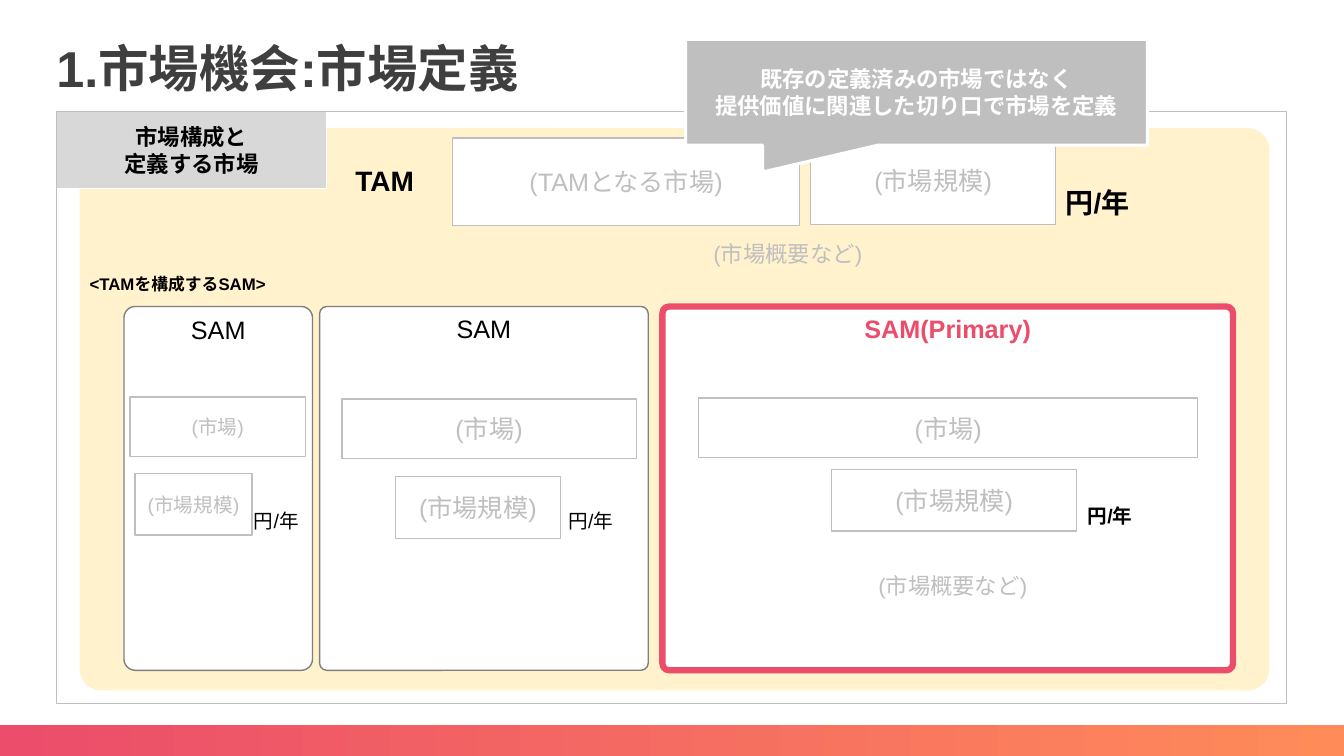
from dataclasses import dataclass

from pptx import Presentation
from pptx.dml.color import RGBColor
from pptx.enum.shapes import MSO_SHAPE
from pptx.enum.text import MSO_ANCHOR, PP_ALIGN
from pptx.util import Inches, Pt

BLACK, WHITE = "000000", "FFFFFF"
GRAY, PINK = "BFBFBF", "EC4D6A"
RECT, ROUND = MSO_SHAPE.RECTANGLE, MSO_SHAPE.ROUNDED_RECTANGLE
CALL = MSO_SHAPE.RECTANGULAR_CALLOUT
TOP, MID, LOW = MSO_ANCHOR.TOP, MSO_ANCHOR.MIDDLE, MSO_ANCHOR.BOTTOM
LEFT, MIDST = PP_ALIGN.LEFT, PP_ALIGN.CENTER


@dataclass(frozen=True)
class Words:
    lines: tuple[str, ...]
    size: float = 18
    color: str = GRAY
    bold: bool = False
    align: PP_ALIGN = MIDST
    anchor: MSO_ANCHOR = MID


@dataclass(frozen=True)
class Box:
    place: tuple[float, float, float, float]
    words: Words | None = None
    fill: str | None = WHITE
    line: str | None = GRAY
    width: float = 1
    form: MSO_SHAPE = RECT
    adjust: tuple[float, ...] = ()


@dataclass(frozen=True)
class Label:
    place: tuple[float, float, float, float]
    words: Words


def paint(code: str) -> RGBColor:
    return RGBColor.from_string(code)


def write(frame, words: Words) -> None:
    frame.word_wrap = True
    frame.vertical_anchor = words.anchor
    for i, line in enumerate(words.lines):
        para = frame.paragraphs[0] if i == 0 else frame.add_paragraph()
        para.alignment = words.align
        run = para.add_run()
        run.text = line
        run.font.name = "Arial"
        run.font.size = Pt(words.size)
        run.font.bold = words.bold
        run.font.color.rgb = paint(words.color)


def draw_box(slide, box: Box):
    shape = slide.shapes.add_shape(box.form, *map(Inches, box.place))
    shape.shadow.inherit = False
    for i, value in enumerate(box.adjust):
        shape.adjustments[i] = value
    if box.fill:
        shape.fill.solid()
        shape.fill.fore_color.rgb = paint(box.fill)
    else:
        shape.fill.background()
    if box.line:
        shape.line.color.rgb = paint(box.line)
        shape.line.width = Pt(box.width)
    else:
        shape.line.fill.background()
    if box.words:
        write(shape.text_frame, box.words)
    return shape


def draw_label(slide, label: Label):
    text = slide.shapes.add_textbox(*map(Inches, label.place))
    write(text.text_frame, label.words)
    return text.text_frame


def draw_title(slide) -> None:
    words = Words(("1.市場機会:市場定義",), 36, "3F3F3F", True, LEFT, LOW)
    frame = draw_label(slide, Label((0.56, 0.29, 12.2, 0.69), words))
    frame.margin_left = frame.margin_right = 0
    frame.margin_top = frame.margin_bottom = 0
    frame.paragraphs[0].line_spacing = 0.9


def draw_band(slide) -> None:
    band = draw_box(slide, Box((0, 7.19, 13.33, 0.31), line=None))
    band.fill.gradient()
    band.fill.gradient_angle = 0
    for stop, place, code in zip(band.fill.gradient_stops, (0, 1), ("EB4D6A", "FF8B59")):
        stop.position = place
        stop.color.rgb = paint(code)


def panel(left: float, width: float, adjust: float, words: Words,
          line: str = "7F7F7F", weight: float = 1) -> Box:
    return Box((left, 3.04, width, 3.61), words, WHITE, line, weight, ROUND, (adjust,))


def market(size: float = 18) -> Words:
    return Words(("(市場)",), size)


def scale(size: float = 18) -> Words:
    return Words(("(市場規模)",), size)


def yen(left: float, top: float, size: float = 14, bold: bool = False) -> Label:
    words = Words(("円/年",), size, BLACK, bold, LEFT, LOW)
    return Label((left, top, 1.16, 0.61), words)


SAM = Words(("SAM",), color=BLACK, anchor=TOP)
PRIME = Words(("SAM(Primary)",), color=PINK, bold=True, anchor=TOP)
NOTE = Words(("(市場概要など)",), 16, anchor=TOP)
TAG = Words(("市場構成と", "定義する市場"), 16, BLACK, True)
HINT = Words(("既存の定義済みの市場ではなく", "提供価値に関連した切り口で市場を定義"), 16, WHITE, True)

ITEMS: list[Box | Label] = [
    Box((0.79, 1.27, 11.8, 5.58), fill="FFF2CC", line=None, form=ROUND, adjust=(0.039,)),
    Box((4.49, 1.37, 3.44, 0.87), Words(("(TAMとなる市場)",))),
    yen(10.47, 1.61, 20, True),
    Box((8.04, 1.34, 2.43, 0.89), scale()),
    Label((3.39, 1.57, 0.85, 0.44), Words(("TAM",), 20, BLACK, True, anchor=TOP)),
    panel(1.23, 1.87, 0.06, SAM),
    panel(3.17, 3.26, 0.022, SAM),
    panel(6.57, 5.66, 0.019, PRIME, PINK, 4.5),
    Box((6.93, 3.95, 4.95, 0.59), market(), None),
    yen(10.69, 4.67, bold=True),
    Box((8.25, 4.66, 2.43, 0.61), scale(), None),
    Box((0.56, 1.1, 2.68, 0.77), TAG, "D8D8D8", WHITE, 0.75),
    Box((0.56, 1.11, 12.2, 5.87), fill=None, width=0.75),
    Label((3.25, 2.33, 9.13, 0.37), NOTE),
    Label((6.8, 5.63, 5.3, 0.37), NOTE),
    Box((3.39, 3.96, 2.92, 0.59), market()),
    yen(5.54, 4.72),
    Box((3.92, 4.73, 1.64, 0.61), scale()),
    Box((1.29, 3.94, 1.74, 0.59), market(14)),
    Box((1.34, 4.7, 1.16, 0.61), scale(14)),
    yen(2.42, 4.72),
    Label((0.79, 2.67, 3.1, 0.3),
          Words(("<TAMを構成するSAM>",), 12, BLACK, True, LEFT, TOP)),
    Box((6.8, 0.39, 4.58, 1.05), HINT, GRAY, WHITE, 2.25, CALL, (-0.333, 0.754)),
]


def main() -> None:
    deck = Presentation()
    deck.slide_width, deck.slide_height = Inches(13.33), Inches(7.5)
    slide = deck.slides.add_slide(deck.slide_layouts[6])
    draw_band(slide)
    draw_title(slide)
    for item in ITEMS:
        if isinstance(item, Box):
            draw_box(slide, item)
        else:
            draw_label(slide, item)
    deck.save("out.pptx")


if __name__ == "__main__":
    main()
